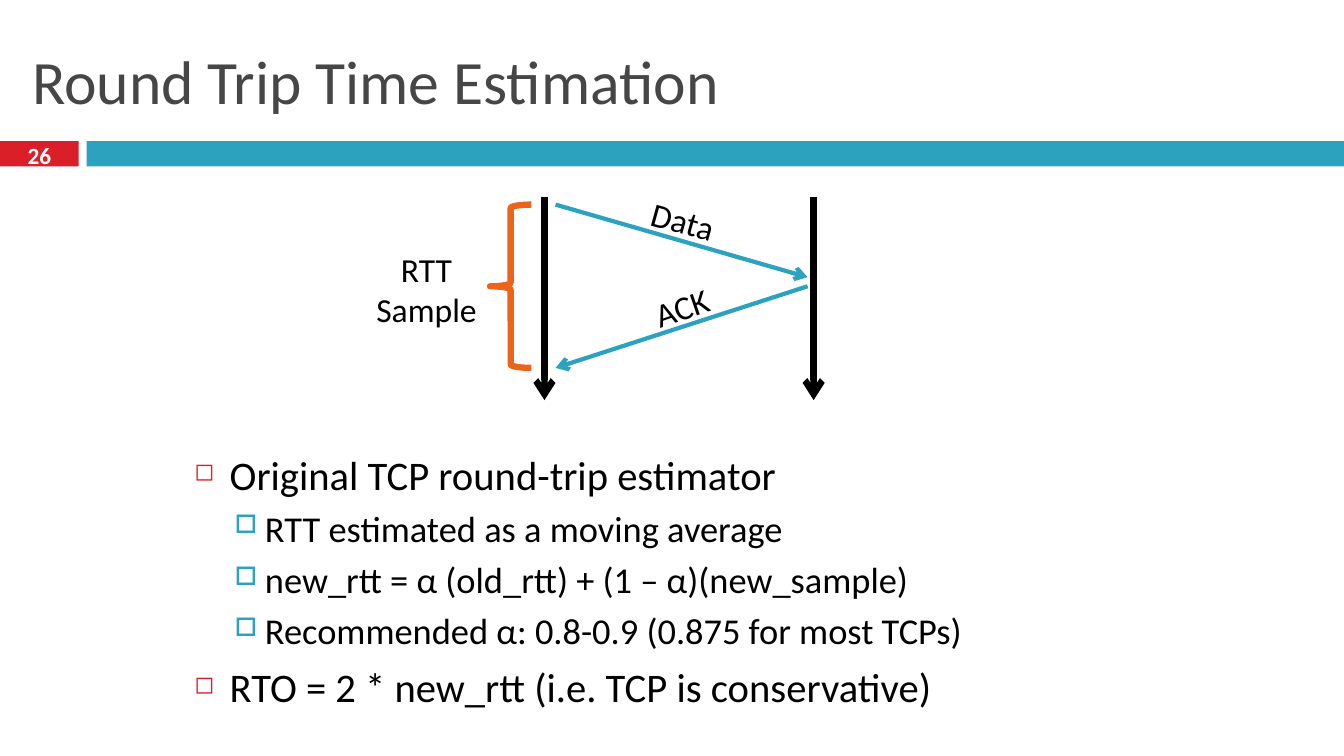
from dataclasses import dataclass

from lxml import etree
from pptx import Presentation
from pptx import util as u
from pptx.dml.color import RGBColor
from pptx.enum import shapes, text
from pptx.oxml import ns

COLORS = {
    "title": "464646",
    "red": "DA1F28",
    "teal": "2DA2BF",
    "orange": "EB641B",
    "black": "000000",
    "white": "FFFFFF",
}
FONT = "Calibri"


@dataclass
class Bar:
    left: float
    width: float
    color: str


@dataclass
class Arrow:
    x1: float
    y1: float
    x2: float
    y2: float
    color: str
    weight: float


@dataclass
class Label:
    text: str
    left: float
    top: float
    width: float
    height: float
    size: float = 24
    color: str = "black"
    rotation: float = 0
    bold: bool = False
    align: text.PP_ALIGN = text.PP_ALIGN.CENTER
    anchor: text.MSO_ANCHOR = text.MSO_ANCHOR.TOP


@dataclass
class Level:
    indent: float
    hanging: float
    before: float
    bullet: str
    color: str
    scale: int
    size: float


LEVELS = [
    Level(0.35, 0.35, 7, "◻", "red", 60, 29),
    Level(0.7, 0.3, 5.5, "□", "teal", 70, 26),
]
BARS = [Bar(0, 0.78, "red"), Bar(0.86, 12.47, "teal")]
ARROWS = [
    Arrow(5.4, 1.95, 5.4, 3.97, "black", 4.5),
    Arrow(8.07, 1.95, 8.07, 3.97, "black", 4.5),
    Arrow(5.51, 2.03, 8.01, 2.75, "teal", 3),
    Arrow(8.01, 2.84, 5.51, 3.65, "teal", 3),
]
LABELS = [
    Label("Round Trip Time Estimation", 0.22, 0.25, 12.89, 1.08, 44, "title",
          align=text.PP_ALIGN.LEFT, anchor=text.MSO_ANCHOR.MIDDLE),
    Label("26", 0, 1.37, 0.78, 0.33, 16.6, "white", bold=True,
          anchor=text.MSO_ANCHOR.MIDDLE),
    Label("Data", 5.68, 1.94, 2.19, 0.5, rotation=15.6),
    Label("ACK", 6.18, 2.8, 1.16, 0.5, rotation=341),
    Label("RTT Sample", 3.49, 2.42, 1.48, 0.91),
]
POINTS = [
    (0, "Original TCP round-trip estimator"),
    (1, "RTT estimated as a moving average"),
    (1, "new_rtt = α (old_rtt) + (1 – α)(new_sample)"),
    (1, "Recommended α: 0.8-0.9 (0.875 for most TCPs)"),
    (0, "RTO = 2 * new_rtt (i.e. TCP is conservative)"),
]


def rgb(name: str) -> RGBColor:
    return RGBColor.from_string(COLORS[name])


def style(p, size: float, color: str, bold: bool = False) -> None:
    for r in p.runs:
        r.font.name = FONT
        r.font.size = u.Pt(size)
        r.font.bold = bold
        r.font.color.rgb = rgb(color)


def draw_bar(s, bar: Bar) -> None:
    sp = s.shapes.add_shape(shapes.MSO_SHAPE.RECTANGLE, u.Inches(bar.left), u.Inches(1.4),
                            u.Inches(bar.width), u.Inches(0.25))
    sp.shadow.inherit = False
    sp.fill.solid()
    sp.fill.fore_color.rgb = rgb(bar.color)
    sp.line.fill.background()


def draw_arrow(s, arrow: Arrow) -> None:
    cx = s.shapes.add_connector(shapes.MSO_CONNECTOR.STRAIGHT,
                                u.Inches(arrow.x1), u.Inches(arrow.y1),
                                u.Inches(arrow.x2), u.Inches(arrow.y2))
    cx.line.color.rgb = rgb(arrow.color)
    cx.line.width = u.Pt(arrow.weight)
    etree.SubElement(cx.line._get_or_add_ln(), ns.qn("a:tailEnd"), type="arrow")
    etree.SubElement(cx._element.spPr, ns.qn("a:effectLst"))


def draw_brace(s) -> None:
    sp = s.shapes.add_shape(shapes.MSO_SHAPE.LEFT_BRACE, u.Inches(4.86), u.Inches(2.03),
                            u.Inches(0.41), u.Inches(1.62))
    sp.shadow.inherit = False
    sp.fill.background()
    sp.line.color.rgb = rgb("orange")
    sp.line.width = u.Pt(4.5)


def draw_label(s, label: Label) -> None:
    sp = s.shapes.add_textbox(u.Inches(label.left), u.Inches(label.top),
                              u.Inches(label.width), u.Inches(label.height))
    sp.rotation = label.rotation
    tf = sp.text_frame
    tf.word_wrap = True
    tf.vertical_anchor = label.anchor
    tf.text = label.text
    p = tf.paragraphs[0]
    p.alignment = label.align
    style(p, label.size, label.color, label.bold)


def add_bullet(p, level: Level) -> None:
    pPr = p._p.get_or_add_pPr()
    pPr.set("marL", str(u.Inches(level.indent)))
    pPr.set("indent", str(-u.Inches(level.hanging)))
    clr = etree.SubElement(pPr, ns.qn("a:buClr"))
    etree.SubElement(clr, ns.qn("a:srgbClr"), val=COLORS[level.color])
    etree.SubElement(pPr, ns.qn("a:buSzPct"), val=str(level.scale * 1000))
    etree.SubElement(pPr, ns.qn("a:buChar"), char=level.bullet)


def draw_points(s) -> None:
    sp = s.shapes.add_textbox(u.Inches(1.83), u.Inches(4.41), u.Inches(9.67), u.Inches(2.93))
    tf = sp.text_frame
    tf.word_wrap = True
    for i, (depth, words) in enumerate(POINTS):
        level = LEVELS[depth]
        p = tf.add_paragraph() if i else tf.paragraphs[0]
        p.text = words
        p.level = depth
        add_bullet(p, level)
        if i:
            p.space_before = u.Pt(level.before)
        style(p, level.size, "black")


def main() -> None:
    prs = Presentation()
    prs.slide_width, prs.slide_height = u.Inches(13.33), u.Inches(7.5)
    s = prs.slides.add_slide(prs.slide_layouts[6])
    for bar in BARS:
        draw_bar(s, bar)
    draw_points(s)
    for arrow in ARROWS:
        draw_arrow(s, arrow)
    draw_brace(s)
    for label in LABELS:
        draw_label(s, label)
    prs.save("out.pptx")


if __name__ == "__main__":
    main()
